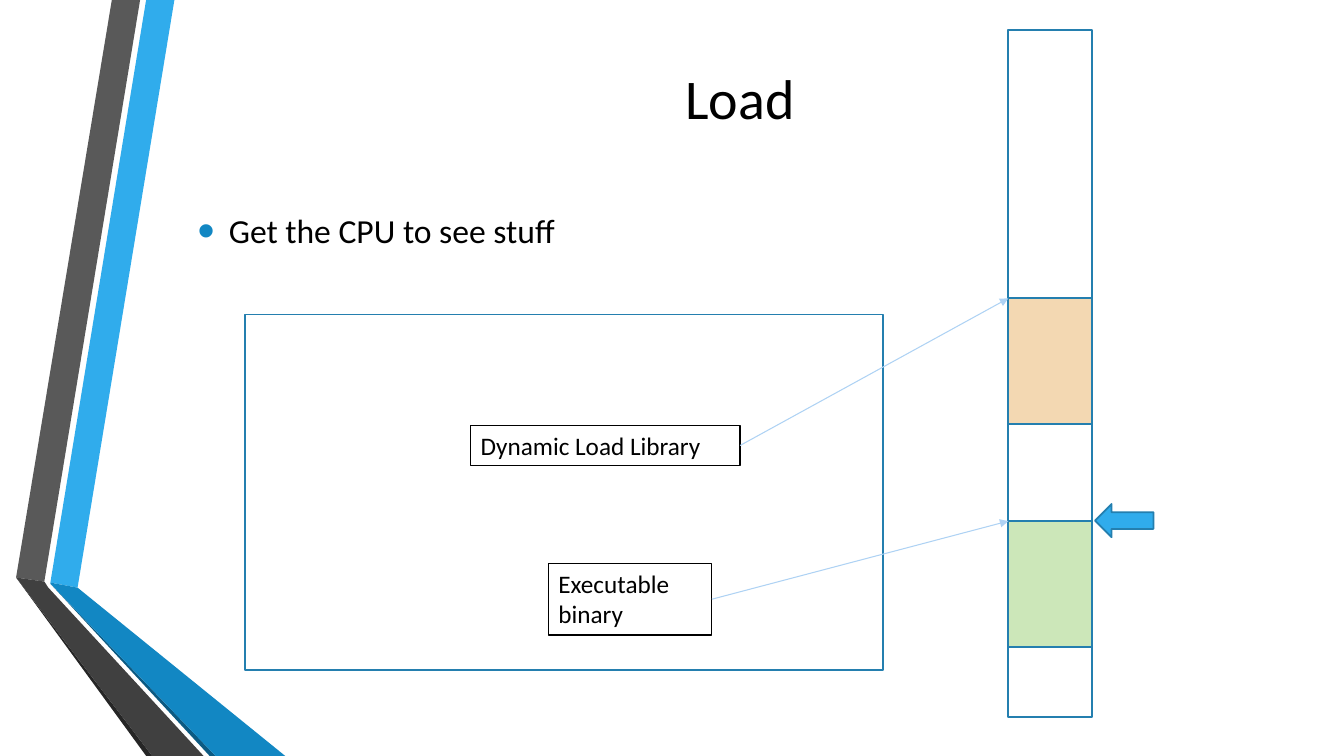
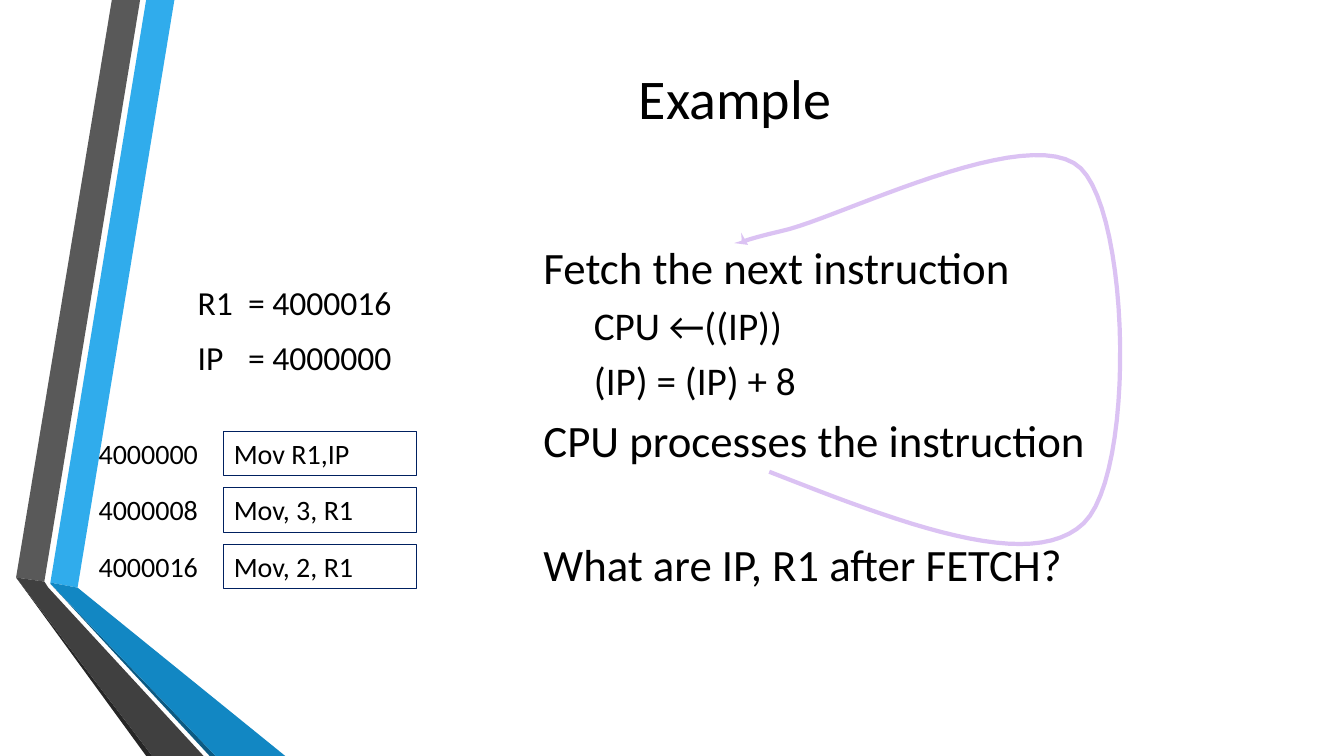
import pptx
import pptx.dml.color
import pptx.enum.shapes
import pptx.enum.text
import pptx.oxml
import pptx.oxml.ns
import pptx.util

Inches = pptx.util.Inches
Pt = pptx.util.Pt
RGBColor = pptx.dml.color.RGBColor
Shape = pptx.enum.shapes.MSO_SHAPE
Anchor = pptx.enum.text.MSO_ANCHOR
Align = pptx.enum.text.PP_ALIGN
AutoSize = pptx.enum.text.MSO_AUTO_SIZE

BLACK = RGBColor(0x00, 0x00, 0x00)
NAVY = RGBColor(0x00, 0x20, 0x60)
SKY = RGBColor(0x30, 0xAC, 0xEC)
BLUE = RGBColor(0x12, 0x87, 0xC3)
DEEP_BLUE = RGBColor(0x0C, 0x5A, 0x82)
OUTLINE = RGBColor(0x24, 0x7F, 0xAF)
PALE_BLUE = RGBColor(0xAE, 0xD2, 0xF4)
GREY = RGBColor(0x59, 0x59, 0x59)
DARK_GREY = RGBColor(0x40, 0x40, 0x40)
CHARCOAL = RGBColor(0x26, 0x26, 0x26)
GREEN = RGBColor(0xCC, 0xE7, 0xB9)
ORANGE = RGBColor(0xF3, 0xD8, 0xB2)
LILAC = RGBColor(0xDB, 0xC2, 0xF3)

FONT = {"name": "Calibri"}
BANDS = [
    (SKY, [(0.5, 5.78), (0.77, 5.83), (1.73, 0), (1.45, 0)]),
    (GREY, [(1.39, 0), (1.11, 0), (0.16, 5.73), (0.44, 5.77)]),
    (CHARCOAL, [(0.16, 5.73), (1.45, 7.5), (1.51, 7.5)]),
    (DEEP_BLUE, [(0.5, 5.79), (2.08, 7.5), (2.14, 7.5)]),
    (BLUE, [(0.5, 5.79), (2.14, 7.5), (2.83, 7.5), (0.77, 5.83), (0.5, 5.78)]),
    (DARK_GREY, [(2.02, 7.5), (0.48, 5.83), (0.44, 5.77), (0.16, 5.73), (1.51, 7.5)]),
]
LOOP_START = (7.63, 4.68)
LOOP_CURVES = [
    [(8.93, 5.19), (10.23, 5.69), (10.75, 5.19)],
    [(11.26, 4.69), (11.21, 2.16), (10.72, 1.67)],
    [(10.22, 1.19), (8.31, 2.17), (7.76, 2.29)],
    [(7.21, 2.42), (7.32, 2.43), (7.42, 2.43)],
]
CURVE_STEPS = 24


def apply(target, values):
    for name, value in values.items():
        setattr(target, name, value)


def append_xml(parent, tag, **attributes):
    child = pptx.oxml.parse_xml(f"<a:{tag} {pptx.oxml.ns.nsdecls('a')}/>")
    for name, value in attributes.items():
        child.set(name, str(value))
    parent.append(child)
    return child


def style(shape, fill=None, line=None, width=0.75):
    shape.shadow.inherit = False
    if fill is None:
        shape.fill.background()
    else:
        shape.fill.solid()
        shape.fill.fore_color.rgb = fill
    if line is None:
        shape.line.fill.background()
    else:
        shape.line.color.rgb = line
        shape.line.width = Pt(width)


def add_span(para, text, size):
    span = para.add_run()
    span.text = text
    apply(span.font, FONT | {"size": Pt(size)})
    span.font.color.rgb = BLACK


def add_freeform(slide, points, close=True):
    corners = [(Inches(x), Inches(y)) for x, y in points]
    builder = slide.shapes.build_freeform(*corners[0], scale=1.0)
    builder.add_line_segments(corners[1:], close=close)
    return builder.convert_to_shape()


def add_bands_to_master(deck, slide):
    """Draw the side bands and move them to the back of the slide master."""
    tree = deck.slide_master.shapes.element
    for position, (colour, points) in enumerate(BANDS, start=2):
        band = add_freeform(slide, points)
        style(band, fill=colour)
        tree.insert(position, band.element)


def place(shape, left, top, width, height, anchor):
    apply(shape, {"left": Inches(left), "top": Inches(top),
                  "width": Inches(width), "height": Inches(height)})
    apply(shape.text_frame, {"word_wrap": True, "auto_size": AutoSize.NONE,
                             "vertical_anchor": anchor})


def set_title(slide, text, left=1.86):
    title = slide.shapes.title
    place(title, left, 0, 10.96, 1.92, Anchor.MIDDLE)
    para = title.text_frame.paragraphs[0]
    para.alignment = Align.CENTER
    add_span(para, text, 40)


def fill_body(body, lines, after=0, bullet=False, tab=None):
    """Write (text, size, level, extra space before) lines into a body."""
    frame = body.text_frame
    for number, (text, size, level, extra) in enumerate(lines):
        para = frame.add_paragraph() if number else frame.paragraphs[0]
        apply(para, {"level": level, "alignment": Align.LEFT,
                     "space_before": Pt(0.2 * size + extra),
                     "space_after": Pt(after)})
        add_span(para, text, size)
        properties = para._p.get_or_add_pPr()
        hang = Inches(0.31) if bullet else 0
        properties.set("marL", str(hang + Inches(0.5) * level))
        properties.set("indent", str(-hang))
        if bullet:
            append_xml(append_xml(properties, "buClr"), "srgbClr", val=BLUE)
            append_xml(properties, "buSzPct", val=145000)
            append_xml(properties, "buFont", typeface="Arial")
            append_xml(properties, "buChar", char="•")
        else:
            append_xml(properties, "buNone")
        if tab:
            append_xml(append_xml(properties, "tabLst"), "tab", pos=Inches(tab), algn="l")


def add_block(slide, left, top, width, height, kind=Shape.RECTANGLE, fill=None):
    block = slide.shapes.add_shape(kind, *map(Inches, (left, top, width, height)))
    style(block, fill, OUTLINE, 1.25)


def add_text_box(slide, text, left, top, width, height, size, line=None):
    box = slide.shapes.add_textbox(*map(Inches, (left, top, width, height)))
    box.text_frame.word_wrap = True
    if line is not None:
        box.line.color.rgb = line
        box.line.width = Pt(0.75)
    add_span(box.text_frame.paragraphs[0], text, size)


def add_arrow(slide, start, end):
    arrow = slide.shapes.add_connector(
        pptx.enum.shapes.MSO_CONNECTOR.STRAIGHT, *map(Inches, start + end))
    arrow.line.color.rgb = PALE_BLUE
    arrow.line.width = Pt(0.75)
    append_xml(arrow.line._get_or_add_ln(), "tailEnd", type="triangle")
    append_xml(arrow.element.spPr, "effectLst")


def curve_points(start, curves):
    """Return points along a chain of cubic Bézier curves."""
    points = [start]
    for first, second, end in curves:
        begin = points[-1]
        for step in range(1, CURVE_STEPS + 1):
            t = step / CURVE_STEPS
            weights = ((1 - t) ** 3, 3 * t * (1 - t) ** 2, 3 * t ** 2 * (1 - t), t ** 3)
            points.append(tuple(sum(w * value for w, value in zip(weights, axis))
                                for axis in zip(begin, first, second, end)))
    return points


def build_load(slide):
    set_title(slide, "Load")
    body = slide.placeholders[1]
    place(body, 1.86, 1.92, 10.96, 0.73, Anchor.MIDDLE)
    fill_body(body, [("Get the CPU to see stuff", 24, 0, 0)], after=6, bullet=True)

    add_block(slide, 2.43, 3.12, 6.33, 3.53)
    memory_left, memory_width = 10, 0.83
    add_block(slide, memory_left, 0.3, memory_width, 6.81)
    files = [
        ("Dynamic Load Library", 4.67, 4.22, 2.67, 0.4, 2.96, ORANGE),
        ("Executable binary", 5.44, 5.59, 1.62, 0.71, 5.17, GREEN),
    ]
    for text, left, top, width, height, target, colour in files:
        add_text_box(slide, text, left, top, width, height, 18, BLACK)
        add_block(slide, memory_left, target, memory_width, 1.25, fill=colour)
        add_arrow(slide, (left + width, top + height / 2), (memory_left, target))
    add_block(slide, 10.86, 5, 0.58, 0.33, Shape.LEFT_ARROW, SKY)


def build_example(slide):
    set_title(slide, "Example", left=1.81)
    registers, steps = slide.placeholders[1], slide.placeholders[2]
    place(registers, 1.86, 2.33, 3.3, 1.88, Anchor.MIDDLE)
    fill_body(registers, [("R1\t= 4000016", 24, 0, 0), ("IP\t= 4000000", 24, 0, 0)],
              after=6, tab=0.5)
    place(steps, 5.29, 2.33, 6.63, 4.42, Anchor.TOP)
    fill_body(steps, [
        ("Fetch the next instruction", 32, 0, 0),
        ("CPU ←((IP))", 28, 1, 0),
        ("(IP) = (IP) + 8", 28, 1, 0),
        ("CPU processes the instruction", 32, 0, 0),
        ("What are IP, R1 after FETCH?", 32, 0, 44),
    ])

    instructions = [("4000000", "Mov R1,IP"), ("4000008", "Mov, 3, R1"),
                    ("4000016", "Mov, 2, R1")]
    for row, (address, instruction) in enumerate(instructions):
        top = 4.28 + 0.56 * row
        add_text_box(slide, address, 0.88, top, 1.57, 0.44, 20)
        add_text_box(slide, instruction, 2.22, top, 1.91, 0.44, 20, NAVY)

    loop = add_freeform(slide, curve_points(LOOP_START, LOOP_CURVES), close=False)
    style(loop, line=LILAC, width=3)
    append_xml(loop.line._get_or_add_ln(), "tailEnd", type="stealth")


def main():
    deck = pptx.Presentation()
    apply(deck, {"slide_width": Inches(13.33), "slide_height": Inches(7.5)})
    content, two_content = deck.slide_layouts[1], deck.slide_layouts[3]
    load = deck.slides.add_slide(content)
    add_bands_to_master(deck, load)
    build_load(load)
    build_example(deck.slides.add_slide(two_content))
    deck.save("out.pptx")


if __name__ == "__main__":
    main()
